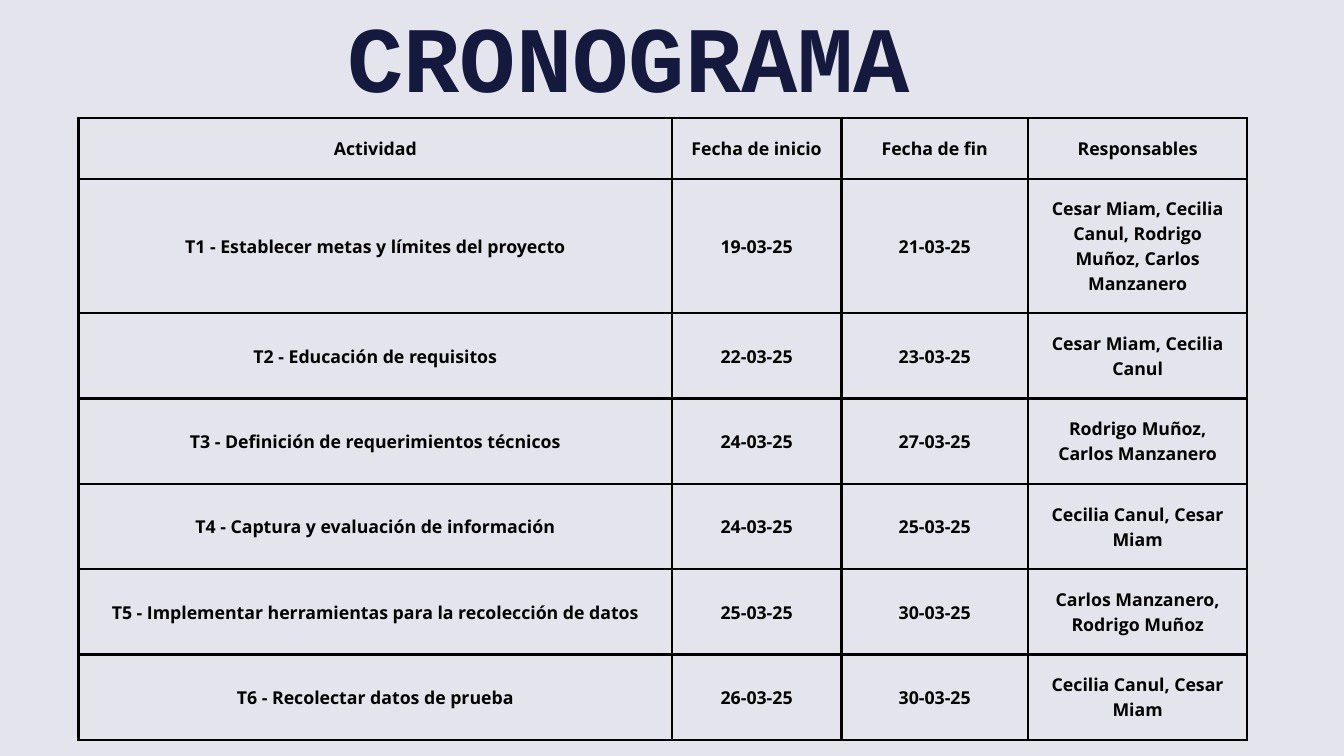
from lxml.etree import SubElement
from pptx import Presentation
from pptx.dml.color import RGBColor
from pptx.enum.text import MSO_ANCHOR, MSO_AUTO_SIZE, PP_ALIGN
from pptx.oxml.ns import qn
from pptx.util import Inches, Pt

COLORS = {"background": "E4E5EC", "title": "15193E", "text": "000000", "border": "000000"}

COL_WIDTHS = [8.83, 2.52, 2.78, 3.26]
ROW_HEIGHTS = [0.9, 2] + [1.27] * 5
SCHEDULE = [
    ("Actividad", "Fecha de inicio", "Fecha de fin", "Responsables"),
    ("T1 - Establecer metas y límites del proyecto", "19-03-25", "21-03-25",
     "Cesar Miam, Cecilia Canul, Rodrigo Muñoz, Carlos Manzanero"),
    ("T2 - Educación de requisitos", "22-03-25", "23-03-25", "Cesar Miam, Cecilia Canul"),
    ("T3 - Definición de requerimientos técnicos", "24-03-25", "27-03-25",
     "Rodrigo Muñoz, Carlos Manzanero"),
    ("T4 - Captura y evaluación de información", "24-03-25", "25-03-25",
     "Cecilia Canul, Cesar Miam"),
    ("T5 - Implementar herramientas para la recolección de datos", "25-03-25", "30-03-25",
     "Carlos Manzanero, Rodrigo Muñoz"),
    ("T6 - Recolectar datos de prueba", "26-03-25", "30-03-25", "Cecilia Canul, Cesar Miam"),
]


def write_text(tf, text, *, font, size, color, spacing, align, bold=True):
    p = tf.paragraphs[0]
    p.alignment = align
    p.line_spacing = Pt(spacing)
    p.space_before = Pt(0)
    r = p.add_run()
    r.text = text
    r.font.name = font
    r.font.size = Pt(size)
    r.font.bold = bold
    r.font.color.rgb = RGBColor.from_string(COLORS[color])


def set_borders(cell, width=3):
    """Draw all four sides; borders must precede the fill in tcPr."""
    tc_pr = cell._tc.get_or_add_tcPr()
    for side in ("a:lnL", "a:lnR", "a:lnT", "a:lnB"):
        ln = SubElement(tc_pr, qn(side), w=str(Pt(width)))
        fill = SubElement(ln, qn("a:solidFill"))
        SubElement(fill, qn("a:srgbClr"), val=COLORS["border"])


def add_title(s, text):
    sp = s.shapes.title
    sp.left, sp.top, sp.width, sp.height = map(Inches, (5.17, 0.34, 10.58, 1.57))
    tf = sp.text_frame
    tf.margin_left = tf.margin_right = tf.margin_top = tf.margin_bottom = 0
    tf.vertical_anchor = MSO_ANCHOR.TOP
    tf.word_wrap = True
    tf.auto_size = MSO_AUTO_SIZE.SHAPE_TO_FIT_TEXT
    write_text(tf, text, font="Courier New", size=100.5, color="title",
               spacing=94.4, align=PP_ALIGN.LEFT)


def add_schedule(s):
    frame = s.shapes.add_table(
        len(SCHEDULE), len(COL_WIDTHS), Inches(1.17), Inches(1.76),
        Inches(sum(COL_WIDTHS)), Inches(sum(ROW_HEIGHTS)))
    table = frame.table
    table.first_row = table.horz_banding = False
    for col, width in zip(table.columns, COL_WIDTHS):
        col.width = Inches(width)
    for row, height, texts in zip(table.rows, ROW_HEIGHTS, SCHEDULE):
        row.height = Inches(height)
        for cell, text in zip(row.cells, texts):
            cell.margin_left = cell.margin_right = Inches(0.21)
            cell.margin_top = cell.margin_bottom = Inches(0.21)
            cell.vertical_anchor = MSO_ANCHOR.MIDDLE
            set_borders(cell)
            cell.fill.background()
            write_text(cell.text_frame, text, font="Open Sans", size=19, color="text",
                       spacing=26.6, align=PP_ALIGN.CENTER)


def main():
    prs = Presentation()
    prs.slide_width, prs.slide_height = Inches(20), Inches(11.25)
    s = prs.slides.add_slide(prs.slide_layouts[5])  # title only

    # Background
    s.background.fill.solid()
    s.background.fill.fore_color.rgb = RGBColor.from_string(COLORS["background"])

    # Content
    add_title(s, "CRONOGRAMA")
    add_schedule(s)
    prs.save("out.pptx")


if __name__ == "__main__":
    main()
